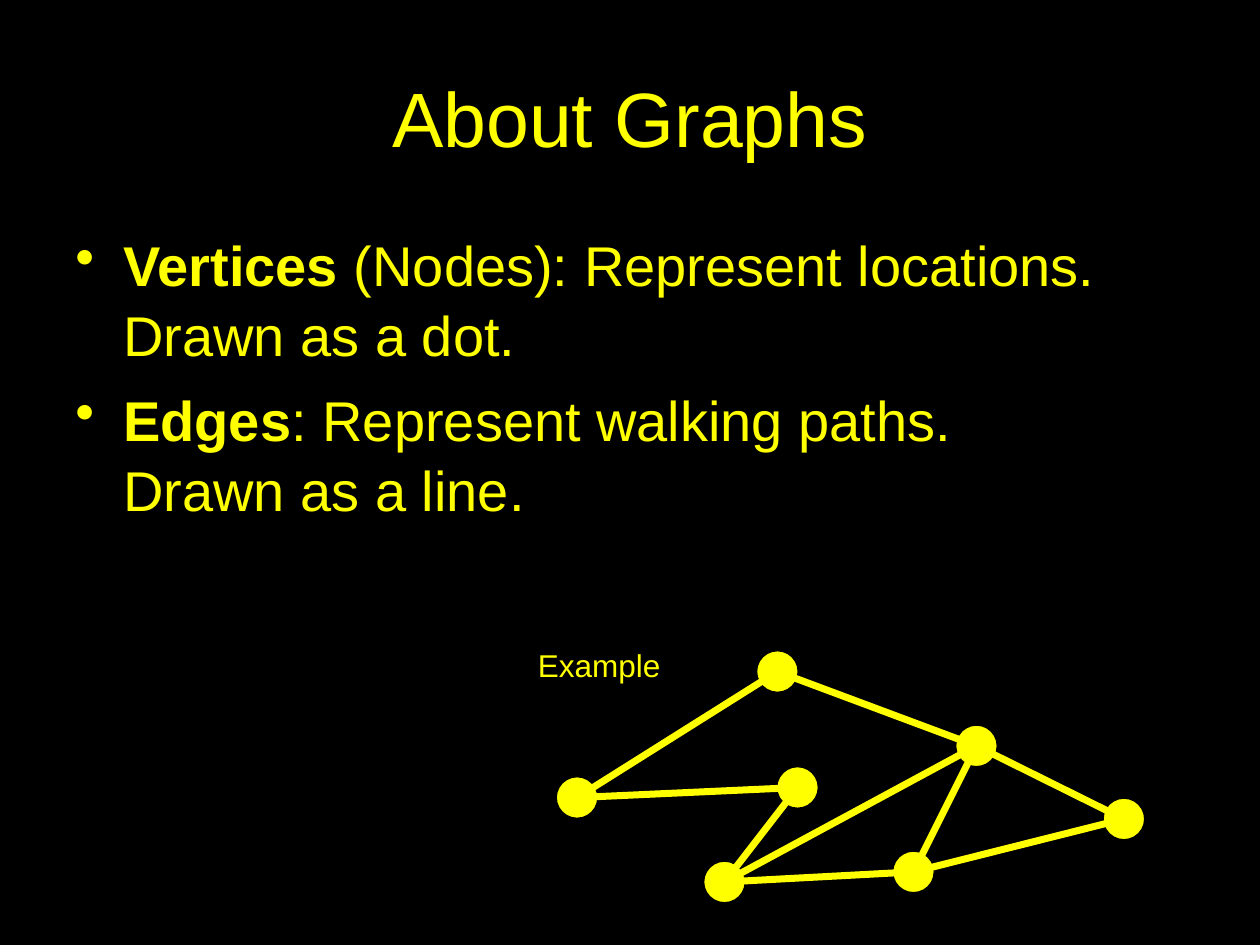
from lxml import etree
from pptx import Presentation
from pptx.dml.color import RGBColor
from pptx.enum.shapes import MSO_CONNECTOR, MSO_SHAPE
from pptx.enum.text import MSO_ANCHOR, PP_ALIGN
from pptx.oxml.ns import qn
from pptx.util import Inches, Pt

OVAL = MSO_SHAPE.OVAL
STRAIGHT = MSO_CONNECTOR.STRAIGHT
MIDDLE = MSO_ANCHOR.MIDDLE
CENTER = PP_ALIGN.CENTER
YELLOW = "FFFF00"
BLACK = "000000"
TITLE_ONLY = 5
DOT_SIZE = 0.33


def color(value):
    return RGBColor.from_string(value)


def style(paragraph, size):
    paragraph.font.name = "Arial"
    paragraph.font.size = Pt(size)
    paragraph.font.color.rgb = color(YELLOW)


presentation = Presentation()
presentation.slide_width = Inches(10)
presentation.slide_height = Inches(7.5)
slide = presentation.slides.add_slide(presentation.slide_layouts[TITLE_ONLY])
slide.background.fill.solid()
slide.background.fill.fore_color.rgb = color(BLACK)

title = slide.shapes.title
title.left, title.top = Inches(0.5), Inches(0.3)
title.width, title.height = Inches(9), Inches(1.25)
title.text_frame.text = "About Graphs"
title.text_frame.vertical_anchor = MIDDLE
title.text_frame.paragraphs[0].alignment = CENTER
style(title.text_frame.paragraphs[0], 44)

definitions = [
    ("Vertices", [" (Nodes): Represent locations. Drawn as a dot."]),
    ("Edges", [": Represent walking paths.", "Drawn as a line."]),
]
body = slide.shapes.add_textbox(Inches(0.5), Inches(1.75), Inches(9), Inches(4.95))
body.text_frame.word_wrap = True
for index, (term, lines) in enumerate(definitions):
    paragraph = body.text_frame.paragraphs[0] if index == 0 else body.text_frame.add_paragraph()
    style(paragraph, 32)
    paragraph.space_before = Pt(8)
    paragraph.line_spacing = 1.05
    properties = paragraph._p.get_or_add_pPr()
    properties.set("marL", str(Inches(0.38)))
    properties.set("indent", str(Inches(-0.38)))
    bullet = etree.Element(qn("a:buChar"), char="•")
    properties.find(qn("a:defRPr")).addprevious(bullet)
    term_run = paragraph.add_run()
    term_run.text = term
    term_run.font.bold = True
    for line_index, line in enumerate(lines):
        if line_index:
            paragraph.add_line_break()
        paragraph.add_run().text = line

vertices = {
    "top": (6.17, 5.33),
    "hub": (7.75, 5.92),
    "left": (4.58, 6.33),
    "lower right": (7.25, 6.92),
    "bottom": (5.75, 7),
    "middle": (6.33, 6.25),
    "right": (8.92, 6.5),
}
edges = [
    ("left", "top"),
    ("bottom", "hub"),
    ("hub", "right"),
    ("left", "middle"),
    ("bottom", "middle"),
    ("lower right", "right"),
    ("top", "hub"),
    ("bottom", "lower right"),
    ("lower right", "hub"),
]
for x, y in vertices.values():
    dot = slide.shapes.add_shape(
        OVAL, Inches(x - DOT_SIZE / 2), Inches(y - DOT_SIZE / 2), Inches(DOT_SIZE), Inches(DOT_SIZE)
    )
    dot.shadow.inherit = False
    dot.fill.solid()
    dot.fill.fore_color.rgb = color(YELLOW)
    dot.line.color.rgb = color(BLACK)
    dot.line.width = Pt(0.75)

for start, end in edges:
    points = [Inches(value) for value in vertices[start] + vertices[end]]
    edge = slide.shapes.add_connector(STRAIGHT, *points)
    edge.line.color.rgb = color(YELLOW)
    edge.line.width = Pt(4)
    etree.SubElement(edge._element.spPr, qn("a:effectLst"))

label = slide.shapes.add_textbox(Inches(4.17), Inches(5.08), Inches(1.75), Inches(0.4))
label.text_frame.word_wrap = True
label.text_frame.text = "Example"
style(label.text_frame.paragraphs[0], 18)

presentation.save("out.pptx")
